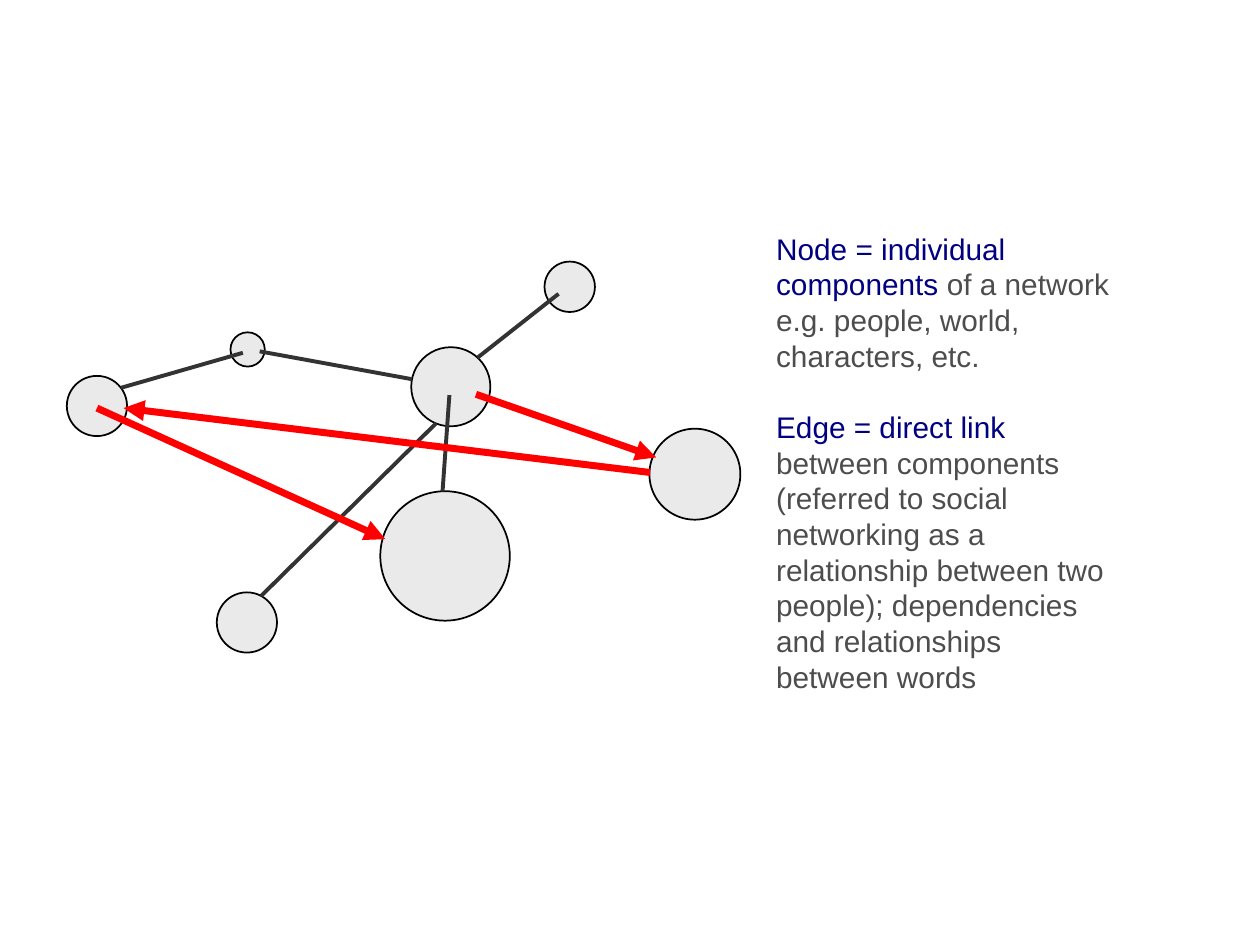
from lxml.etree import SubElement as Sub
from pptx import Presentation
from pptx.dml.color import RGBColor as Rgb
from pptx.enum.shapes import MSO_CONNECTOR as Conn, MSO_SHAPE as Form
from pptx.oxml.ns import qn
from pptx.util import Pt

NODES = [
    (55.4, 232, 34.4),
    (141.5, 199.7, 19.6),
    (254.3, 317.7, 74),
    (257.6, 221, 45.2),
    (325.6, 163.9, 28.8),
    (397.1, 271, 52),
    (141.1, 355.7, 34.4),
]
EDGES = [
    (256.8, 225.8, 252.9, 280.8),
    (138.8, 201.6, 69.2, 221.6),
    (235.4, 216.7, 148.4, 200.8),
    (319.2, 167.9, 272.9, 204.4),
    (249.2, 241.9, 149.2, 340.6),
]
ARROWS = [
    (272, 225.3, 375, 261.4),
    (371.5, 270, 70.6, 233.2),
    (55.4, 233.2, 220.2, 308.1),
]
TERMS = [
    ("Node = individual components",
     " of a network e.g. people, world, characters, etc."),
    ("Edge = direct link",
     " between components (referred to social networking as a relationship"
     " between two people); dependencies and relationships between words"),
]


def color(code):
    return Rgb.from_string(code)


class Deck:
    face = "Arial"
    size = 17
    lead = 20.4
    fill = "EAEAEA"
    rim = "000000"
    edge = "333333"
    link = "FF0000"
    key = "000080"
    ink = "4D4D4D"

    def __init__(self):
        self.file = Presentation()
        self.file.slide_width = Pt(720)
        self.file.slide_height = Pt(540)
        self.slide = self.file.slides.add_slide(self.file.slide_layouts[6])

    def node(self, x, y, d):
        dot = self.slide.shapes.add_shape(
            Form.OVAL, Pt(x - d / 2), Pt(y - d / 2), Pt(d), Pt(d))
        dot.shadow.inherit = False
        dot.fill.solid()
        dot.fill.fore_color.rgb = color(self.fill)
        dot.line.color.rgb = color(self.rim)
        dot.line.width = Pt(1)

    def line(self, ends, hue, width):
        line = self.slide.shapes.add_connector(
            Conn.STRAIGHT, *[Pt(v) for v in ends])
        line.line.color.rgb = color(hue)
        line.line.width = Pt(width)
        props = line._element.spPr
        Sub(props, qn("a:effectLst"))
        return props

    def arrow(self, ends):
        props = self.line(ends, self.link, 4)
        Sub(props.find(qn("a:ln")), qn("a:tailEnd"), type="triangle")

    def text(self, x, y, w, h, terms):
        frame = self.slide.shapes.add_textbox(
            Pt(x), Pt(y), Pt(w), Pt(h)).text_frame
        frame.word_wrap = True
        frame.margin_left = frame.margin_right = Pt(6.5)
        frame.margin_top = frame.margin_bottom = Pt(2.9)
        for i, parts in enumerate(terms):
            para = frame.add_paragraph() if i else frame.paragraphs[0]
            para.line_spacing = Pt(self.lead)
            if i:
                para.space_before = Pt(self.lead)
            para.font.name = self.face
            para.font.size = Pt(self.size)
            for part, hue in zip(parts, (self.key, self.ink)):
                run = para.add_run()
                run.text = part
                run.font.color.rgb = color(hue)


def main():
    deck = Deck()
    for node in NODES:
        deck.node(*node)
    for ends in EDGES:
        deck.line(ends, deck.edge, 2.25)
    for ends in ARROWS:
        deck.arrow(ends)
    deck.text(437, 128.9, 206, 340.6, TERMS)
    deck.file.save("out.pptx")


if __name__ == "__main__":
    main()
